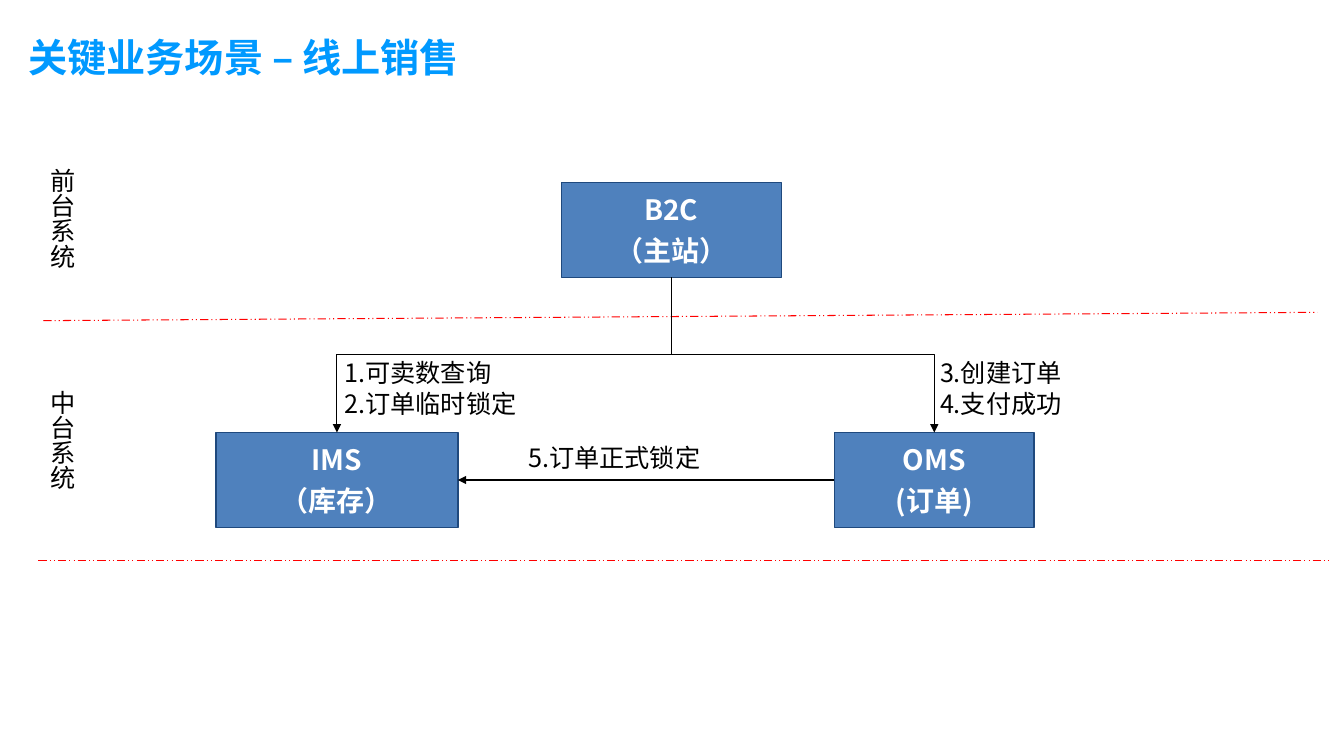
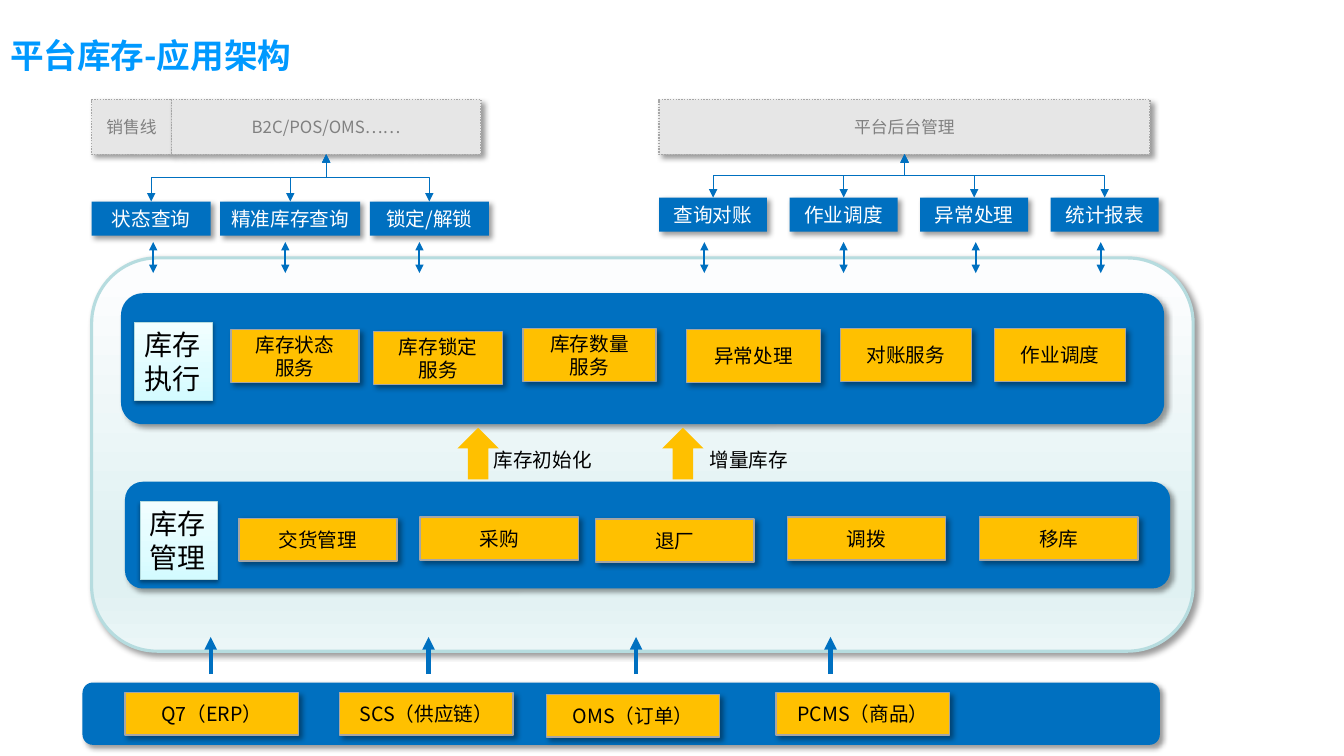
from lxml.etree import SubElement
from pptx import Presentation
from pptx.dml.color import RGBColor
from pptx.enum.dml import MSO_LINE
from pptx.enum.shapes import MSO_CONNECTOR, MSO_SHAPE
from pptx.enum.text import MSO_ANCHOR, MSO_AUTO_SIZE, PP_ALIGN
from pptx.oxml.ns import qn
from pptx.util import Cm, Pt

FONT = "Noto Sans CJK SC"
TITLE, BLUE, AMBER, RED = "0099FF", "0070C0", "FFC000", "FF0000"
BLACK, WHITE, GREY, PALE_GREY, MID_GREY = "000000", "FFFFFF", "A6A6A6", "E6E6E6", "808080"
NODE_FILL, NODE_LINE, MINT = "4F81BD", "1F497D", "B6DCDF"
PANEL_GRADIENT = [(5, "FCFDFE"), (74, "E0F1F2"), (83, "E0F1F2"), (100, "EBF6F7")]
LABEL_GRADIENT = [(0, "D3FBFF"), (35, "DFFCFF"), (100, "F2FEFF")]
SOFT_SHADOW = {"alpha": 40, "blur": 4, "distance": 3, "angle": 45}
LABEL_SHADOW = {"alpha": 38, "blur": 3.1, "distance": 1.6, "angle": 90}
NODE = {"fill": NODE_FILL, "line": (NODE_LINE, 1, None)}
CALLER = {"fill": PALE_GREY, "line": (GREY, 1, MSO_LINE.ROUND_DOT), "shadow": SOFT_SHADOW}
BUTTON = {"fill": BLUE, "shadow": SOFT_SHADOW}
SERVICE = {"fill": AMBER, "line": (GREY, 1, None), "shadow": SOFT_SHADOW}
LABEL = {"gradient": (LABEL_GRADIENT, 90), "line": (MINT, 0.75, None), "shadow": LABEL_SHADOW}
PANEL = {"gradient": (PANEL_GRADIENT, 270), "line": (MINT, 2.25, None), "shadow": SOFT_SHADOW}


def color(value):
    """Turn a hex string into a colour."""
    return RGBColor.from_string(value)


def lengths(values):
    """Turn centimetre values into lengths."""
    return [Cm(value) for value in values]


def write(shape, text, size, ink=BLACK, bold=False, align=PP_ALIGN.LEFT,
          anchor=MSO_ANCHOR.TOP, gap=0):
    """Fill a shape with one paragraph per line of text."""
    frame = shape.text_frame
    frame_format = {"word_wrap": True, "auto_size": MSO_AUTO_SIZE.NONE, "vertical_anchor": anchor}
    for name, value in frame_format.items():
        setattr(frame, name, value)
    for index, line in enumerate(text.split("\n")):
        paragraph = frame.add_paragraph() if index else frame.paragraphs[0]
        paragraph.alignment = align
        paragraph.space_before = Pt(gap if index else 0)
        run = paragraph.add_run()
        run.text = line
        run_format = {"name": FONT, "size": Pt(size), "bold": bold}
        for name, value in run_format.items():
            setattr(run.font, name, value)
        run.font.color.rgb = color(ink)
        SubElement(run.font._element, qn("a:ea"), typeface=FONT)


def add_text(slide, box, text, size):
    """Add a plain text box."""
    shape = slide.shapes.add_textbox(*lengths(box))
    write(shape, text, size)
    return shape


def set_gradient(shape, stops, angle):
    """Give a shape a linear gradient with any number of stops."""
    shape.fill.gradient()
    shape.fill.gradient_angle = angle
    stop_list = shape.element.spPr.find(".//" + qn("a:gsLst"))
    for stop in list(stop_list):
        stop_list.remove(stop)
    for position, value in stops:
        stop = SubElement(stop_list, qn("a:gs"), pos=str(position * 1000))
        SubElement(stop, qn("a:srgbClr"), val=value)


def set_shadow(shape, alpha, blur, distance, angle):
    """Give a shape an outer black shadow."""
    effects = shape.element.spPr.find(qn("a:effectLst"))
    shadow = SubElement(effects, qn("a:outerShdw"), blurRad=str(Pt(blur)),
                        dist=str(Pt(distance)), dir=str(angle * 60000),
                        algn="tl", rotWithShape="0")
    shade = SubElement(shadow, qn("a:srgbClr"), val=BLACK)
    SubElement(shade, qn("a:alpha"), val=str(alpha * 1000))


def set_line(line, ink, width, dash):
    """Set the colour, width and dash of an outline or connector."""
    line.color.rgb = color(ink)
    line.width = Pt(width)
    if dash:
        line.dash_style = dash


def add_block(slide, box, style, kind=MSO_SHAPE.RECTANGLE):
    """Add a preset shape in one of the shared styles."""
    shape = slide.shapes.add_shape(kind, *lengths(box))
    shape.shadow.inherit = False
    if "gradient" in style:
        set_gradient(shape, *style["gradient"])
    else:
        shape.fill.solid()
        shape.fill.fore_color.rgb = color(style["fill"])
    if "line" in style:
        set_line(shape.line, *style["line"])
    else:
        shape.line.fill.background()
    if "shadow" in style:
        set_shadow(shape, **style["shadow"])
    return shape


def add_caption_block(slide, box, style, text, size, ink, **options):
    """Add a block with centred text."""
    shape = add_block(slide, box, style)
    write(shape, text, size, ink, align=PP_ALIGN.CENTER, anchor=MSO_ANCHOR.MIDDLE, **options)


def finish_connector(connector, ink, width, dash=None, ends=()):
    """Set the line, arrowheads and empty effects of a connector."""
    set_line(connector.line, ink, width, dash)
    properties = connector.element.spPr
    outline = properties.find(qn("a:ln"))
    for end in ends:
        SubElement(outline, qn("a:" + end), type="triangle")
    SubElement(properties, qn("a:effectLst"))


def add_line(slide, start, end, ink, width, **options):
    """Add a straight connector."""
    connector = slide.shapes.add_connector(MSO_CONNECTOR.STRAIGHT, *lengths(start + end))
    finish_connector(connector, ink, width, **options)


def add_elbow(slide, start, end, ink, ends):
    """Add an elbow connector that leaves and arrives vertically."""
    across, down = end[0] - start[0], end[1] - start[1]
    middle = (start[0] + end[0]) / 2, (start[1] + end[1]) / 2
    half = abs(down) / 2, abs(across) / 2
    corners = [middle[0] - half[0], middle[1] - half[1], middle[0] + half[0], middle[1] + half[1]]
    connector = slide.shapes.add_connector(MSO_CONNECTOR.ELBOW, *lengths(corners))
    turn = 90 if (across > 0) == (down < 0) else 270
    transform = {"rot": str(turn * 60000), "flipH": str(int(across > 0)),
                 "flipV": str(int(down < 0))}
    frame = connector.element.spPr.find(qn("a:xfrm"))
    for name, value in transform.items():
        frame.set(name, value)
    finish_connector(connector, ink, 0.75, ends=ends)


def add_titled_slide(presentation, box, text, size):
    """Add a title-only slide with the shared title style."""
    slide = presentation.slides.add_slide(presentation.slide_layouts[5])
    title = slide.shapes.title
    for name, value in zip(("left", "top", "width", "height"), lengths(box)):
        setattr(title, name, value)
    write(title, text, size, TITLE, bold=True)
    return slide


def add_lane(slide, box, text, label_top, label_height, drop):
    """Add a lane with its vertical label and dashed lower border."""
    left, top, width, height = box
    label = add_text(slide, (0.81, top + label_top, 1.27, label_height), text, 18)
    label.text_frame._txBody.bodyPr.set("vert", "eaVert")
    bottom = top + height
    add_line(slide, (left, bottom), (left + width, bottom + drop), RED, 0.75,
             dash=MSO_LINE.DASH_DOT_DOT)


def add_sales_flow(slide, box):
    """Add the shop, stock and order systems and the calls between them."""
    left, top, width, height = box
    node_height = 2.39
    lower = top + height - node_height
    shop = (left + 8.71, top, 5.54, node_height)
    stock = (left, lower, 6.1, node_height)
    order = (left + width - 5.03, lower, 5.03, node_height)
    for node, text in ((shop, "B2C\n（主站）"), (stock, "IMS\n（库存）"), (order, "OMS\n(订单)")):
        add_caption_block(slide, node, NODE, text, 20, WHITE, bold=True, gap=5)
    source = (shop[0] + shop[2] / 2, top + node_height)
    for target in (stock, order):
        add_elbow(slide, source, (target[0] + target[2] / 2, lower), BLACK, ("tailEnd",))
    middle = lower + node_height / 2
    add_line(slide, (order[0], middle), (stock[0] + stock[2], middle), BLACK, 0.75,
             ends=("tailEnd",))
    notes = [(2.99, 4.29, "1.可卖数查询\n2.订单临时锁定"), (18, 4.29, "3.创建订单\n4.支付成功"),
             (7.62, 6.42, "5.订单正式锁定")]
    for across, down, text in notes:
        add_text(slide, (left + across, top + down, 7.62, 1.8), text, 18)


def add_caller_group(slide, box, callers, buttons, gap, button_top, arrows):
    """Add caller boxes, the buttons they call and the two-way arrows below."""
    left, top, width, height = box
    both_ends = ("headEnd", "tailEnd")
    across = left
    for text, caller_width in callers:
        add_caption_block(slide, (across, top, caller_width, height), CALLER, text, 12, MID_GREY)
        across += caller_width
    hub = (across - callers[-1][1] / 2, top + height)
    across = left
    for text, button_width in buttons:
        button = (across, top + button_top, button_width, 0.86)
        add_caption_block(slide, button, BUTTON, text, 14, WHITE)
        add_elbow(slide, (across + button_width / 2, button[1]), hub, BLUE, both_ends)
        across += button_width + gap
    for offset in arrows:
        add_line(slide, (left + offset, top + 3.59), (left + offset, top + 4.37), BLUE, 1.5,
                 ends=both_ends)


def add_service_bar(slide, box, item_height, items, label=None):
    """Add a blue bar with its amber items and an optional label."""
    left, top = box[:2]
    add_block(slide, box, BUTTON, MSO_SHAPE.ROUNDED_RECTANGLE)
    for text, across, down, width in items:
        item = (left + across, top + down, width, item_height)
        add_caption_block(slide, item, SERVICE, text, 14, BLACK)
    if label:
        text, across, down = label
        shape = add_block(slide, (left + across, top + down, 1.95, 1.96), LABEL)
        write(shape, text, 20)


def add_flow_arrow(slide, box, text, offset):
    """Add a block arrow with the text beside it."""
    add_block(slide, box, {"fill": AMBER}, MSO_SHAPE.UP_ARROW)
    add_text(slide, (box[0] + offset, box[1] + 0.37, 3.3, 0.86), text, 14)


def add_source_bar(slide, box):
    """Add the bar of source systems and the arrows rising from it."""
    names = ["Q7（ERP）", "SCS（供应链）", "OMS（订单）", "PCMS（商品）"]
    offsets = [(1.07, 0.25), (6.48, 0.25), (11.69, 0.3), (17.48, 0.25)]
    items = [(name, across, down, 4.37) for name, (across, down) in zip(names, offsets)]
    add_service_bar(slide, box, 1.07, items)
    for offset in (3.23, 8.72, 13.95, 18.85):
        across = box[0] + offset
        add_line(slide, (across, box[1] - 0.21), (across, box[1] - 1.15), BLUE, 3,
                 ends=("tailEnd",))


def build_sales_slide(presentation):
    """Build the online sales slide."""
    slide = add_titled_slide(presentation, (0.46, 0.71, 22.68, 1.45), "关键业务场景 – 线上销售", 28)
    add_lane(slide, (1.09, 3.5, 32.11, 4.58), "前台系统", 0.49, 3.33, -0.21)
    add_lane(slide, (0.97, 8.08, 32.51, 6.04), "中台系统", 1.5, 3.45, 0)
    add_sales_flow(slide, (5.44, 4.6, 20.62, 8.69))


def build_architecture_slide(presentation):
    """Build the stock platform architecture slide."""
    slide = add_titled_slide(presentation, (0, 0.74, 16.36, 1.3), "平台库存-应用架构", 24)
    add_block(slide, (2.31, 6.5, 27.76, 9.91), PANEL, MSO_SHAPE.ROUNDED_RECTANGLE)
    add_caller_group(slide, (2.31, 2.51, 9.8, 1.38), [("销售线", 2.01), ("B2C/POS/OMS……", 7.8)],
                     [("状态查询", 3), ("精准库存查询", 3.53), ("锁定/解锁", 3)], 0.24, 2.57,
                     (1.55, 4.88, 8.26))
    reports = ["查询对账", "作业调度", "异常处理", "统计报表"]
    add_caller_group(slide, (16.61, 2.51, 12.37, 1.38), [("平台后台管理", 12.37)],
                     [(text, 2.72) for text in reports], 0.57, 2.47, (1.14, 4.65, 7.98, 11.13))
    services = [("库存状态\n服务", 2.77, 0.92, 3.23), ("库存锁定\n服务", 6.37, 0.97, 3.25),
                ("库存数量\n服务", 10.13, 0.89, 3.35), ("异常处理", 14.25, 0.92, 3.38),
                ("对账服务", 18.13, 0.89, 3.3), ("作业调度", 22.02, 0.89, 3.3)]
    add_service_bar(slide, (3.05, 7.39, 26.29, 3.3), 1.33, services, ("库存执行", 0.35, 0.74))
    operations = [("交货管理", 2.87, 0.92, 3.99), ("采购", 7.44, 0.89, 3.99),
                  ("退厂", 11.86, 0.94, 3.99), ("调拨", 16.69, 0.89, 3.99),
                  ("移库", 21.54, 0.89, 3.99)]
    add_service_bar(slide, (3.15, 12.14, 26.34, 2.69), 1.08, operations, ("库存管理", 0.38, 0.51))
    add_flow_arrow(slide, (11.53, 10.78, 1.04, 1.3), "库存初始化", 0.66)
    add_flow_arrow(slide, (16.69, 10.78, 1.04, 1.3), "增量库存", 0.94)
    add_source_bar(slide, (2.08, 17.2, 27.15, 1.57))


def main():
    """Build and save the presentation."""
    presentation = Presentation()
    presentation.slide_width, presentation.slide_height = lengths((33.87, 19.05))
    build_sales_slide(presentation)
    build_architecture_slide(presentation)
    presentation.save("out.pptx")


if __name__ == "__main__":
    main()
